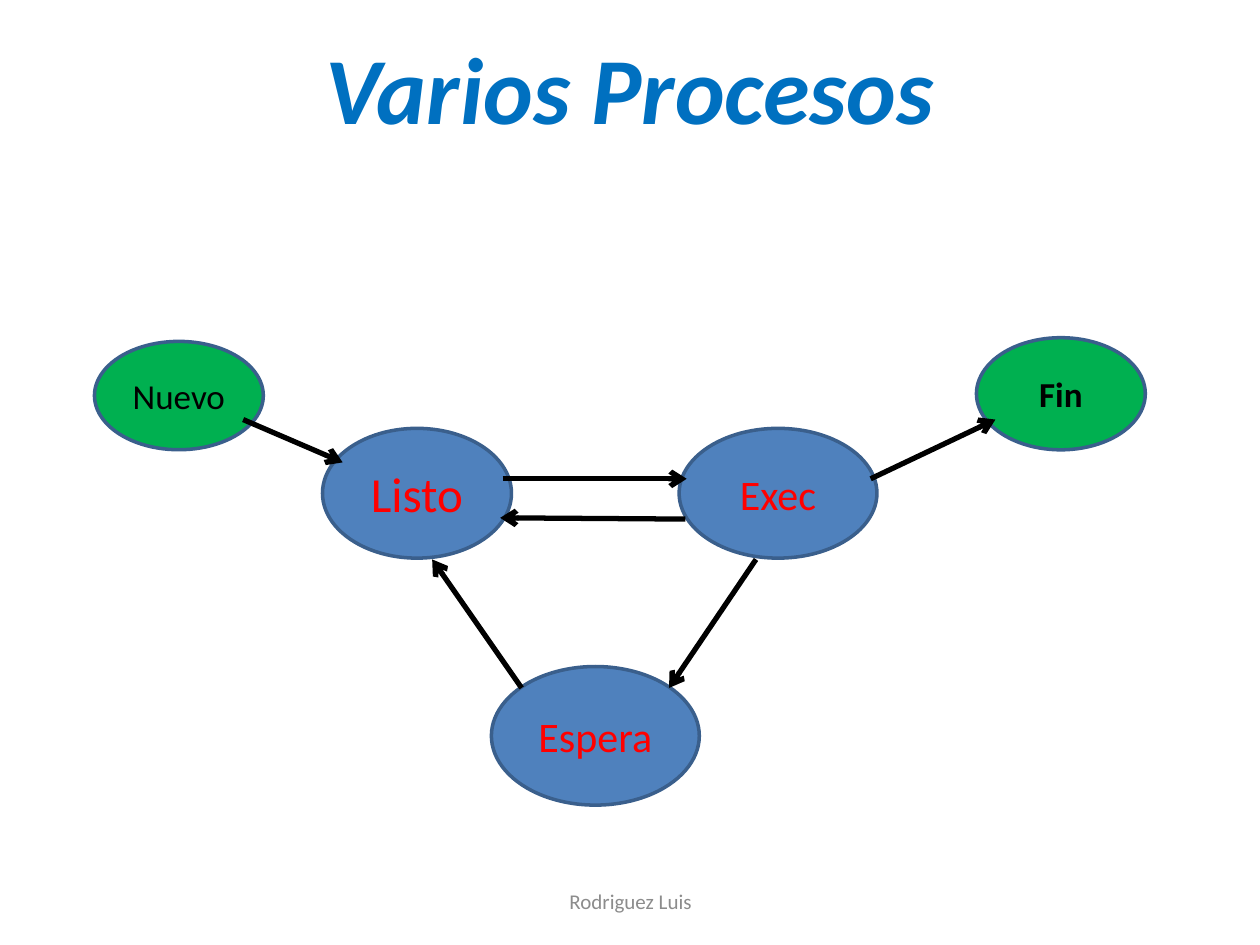
from lxml import etree
from pptx import Presentation
from pptx.dml.color import RGBColor
from pptx.enum.shapes import MSO_CONNECTOR, MSO_SHAPE
from pptx.enum.text import MSO_ANCHOR, PP_ALIGN
from pptx.oxml.ns import qn
from pptx.util import Inches, Pt

OVAL = MSO_SHAPE.OVAL
STRAIGHT = MSO_CONNECTOR.STRAIGHT
MIDDLE = MSO_ANCHOR.MIDDLE
CENTER = PP_ALIGN.CENTER

FONT = "Calibri"
TITLE_BLUE = RGBColor(0x00, 0x70, 0xC0)
GREEN = RGBColor(0x00, 0xB0, 0x50)
BLUE = RGBColor(0x4F, 0x81, 0xBD)
OUTLINE = RGBColor(0x3A, 0x5F, 0x8C)
RED = RGBColor(0xFF, 0x00, 0x00)
BLACK = RGBColor(0x00, 0x00, 0x00)
GRAY = RGBColor(0x8C, 0x8C, 0x8C)

# State: name, (left, top, width, height), fill, text colour, size, bold
STATES = [
    ("Nuevo", (0.75, 2.71, 1.34, 0.86), GREEN, BLACK, 20, False),
    ("Exec", (5.39, 3.4, 1.57, 1.03), BLUE, RED, 24, False),
    ("Listo", (2.56, 3.4, 1.5, 1.03), BLUE, RED, 28, False),
    ("Fin", (7.75, 2.68, 1.34, 0.89), GREEN, BLACK, 20, True),
    ("Espera", (3.9, 5.29, 1.65, 1.1), BLUE, RED, 24, False),
]

# Transition: start point, end point
TRANSITIONS = [
    ((1.93, 3.33), (2.72, 3.67)),  # Nuevo to Listo
    ((6.91, 3.8), (7.9, 3.33)),    # Exec to Fin
    ((3.99, 3.8), (5.45, 3.8)),    # Listo to Exec
    ((5.44, 4.12), (3.97, 4.11)),  # Exec to Listo
    ((6, 4.44), (5.31, 5.46)),     # Exec to Espera
    ((4.14, 5.46), (3.43, 4.44)),  # Espera to Listo
]


def write_text(shape, text, size, color, bold=False, italic=False):
    frame = shape.text_frame
    frame.text = text
    frame.word_wrap = True
    frame.vertical_anchor = MIDDLE
    paragraph = frame.paragraphs[0]
    paragraph.alignment = CENTER
    font = paragraph.runs[0].font
    font.name = FONT
    font.size = Pt(size)
    font.color.rgb = color
    font.bold = bold
    font.italic = italic


def add_label(slide, box, text, size, color, bold=False, italic=False):
    label = slide.shapes.add_textbox(*map(Inches, box))
    write_text(label, text, size, color, bold, italic)


def add_state(slide, name, box, fill, color, size, bold):
    state = slide.shapes.add_shape(OVAL, *map(Inches, box))
    state.shadow.inherit = False
    state.fill.solid()
    state.fill.fore_color.rgb = fill
    state.line.color.rgb = OUTLINE
    state.line.width = Pt(2)
    write_text(state, name, size, color, bold)


def add_transition(slide, start, end):
    arrow = slide.shapes.add_connector(STRAIGHT, *map(Inches, start + end))
    arrow.line.color.rgb = BLACK
    arrow.line.width = Pt(3)
    # Open arrowhead at the end, no shadow
    etree.SubElement(arrow.line._get_or_add_ln(), qn("a:tailEnd"), type="arrow")
    etree.SubElement(arrow._element.spPr, qn("a:effectLst"))


def main():
    prs = Presentation()
    prs.slide_width = Inches(10)
    prs.slide_height = Inches(7.5)
    slide = prs.slides.add_slide(prs.slide_layouts[6])

    # Title
    add_label(slide, (0.5, 0.3, 9, 0.77), "Varios Procesos", 54, TITLE_BLUE,
              bold=True, italic=True)

    # State diagram
    for state in STATES:
        add_state(slide, *state)
    for start, end in TRANSITIONS:
        add_transition(slide, start, end)

    # Footer
    add_label(slide, (3.42, 6.95, 3.17, 0.4), "Rodriguez Luis", 12, GRAY)

    prs.save("out.pptx")


if __name__ == "__main__":
    main()
